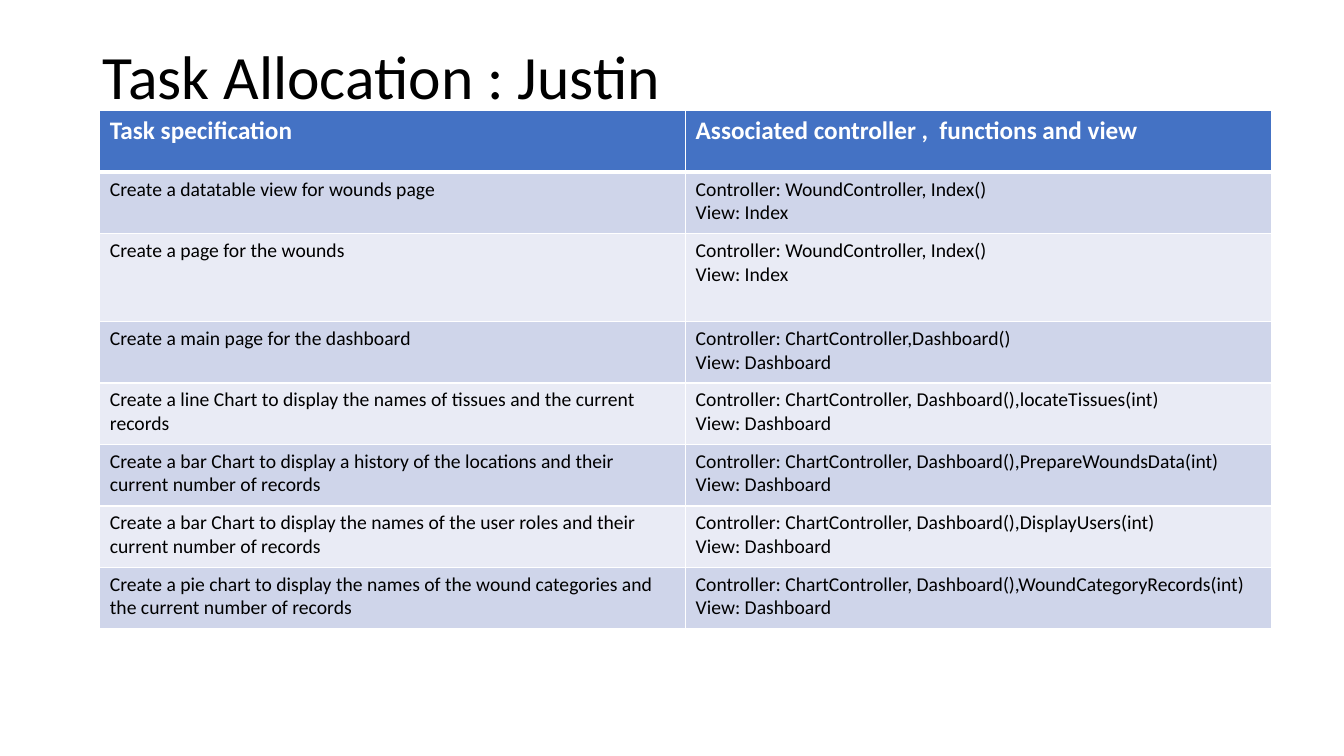
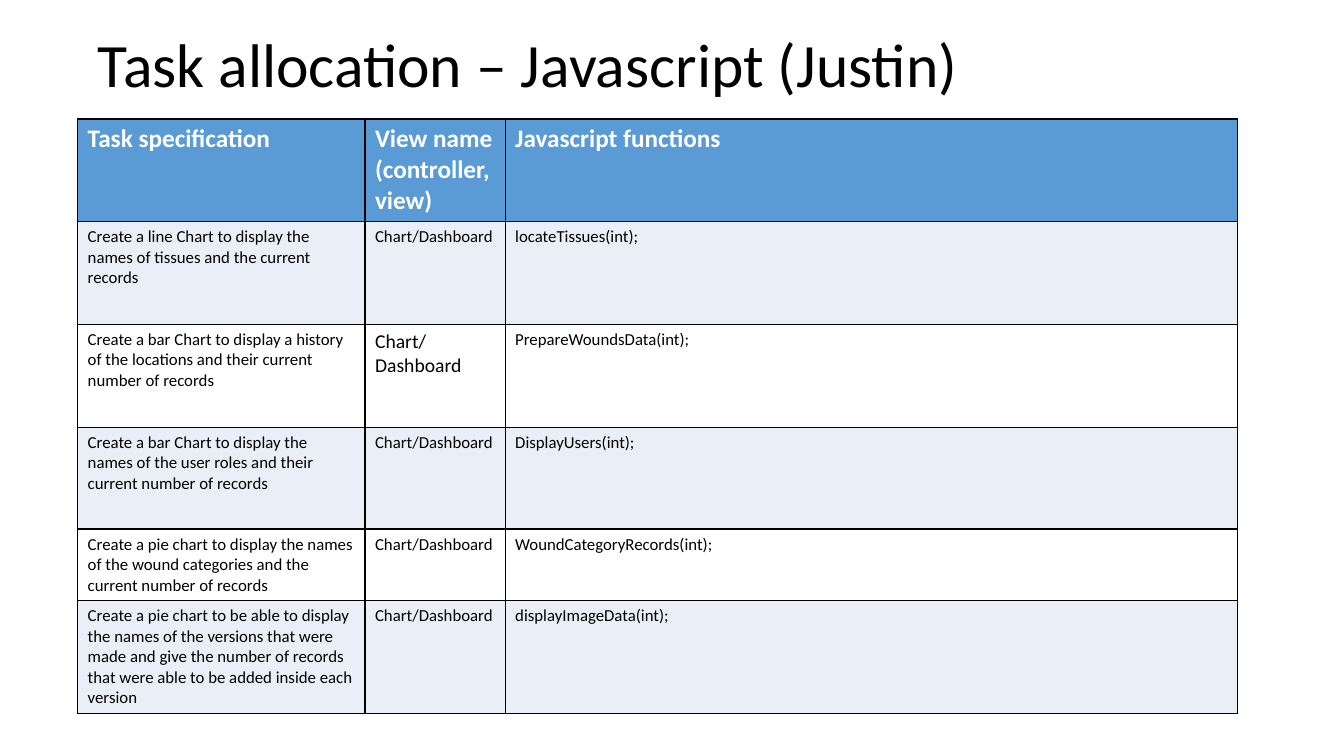
"""Build two task allocation slides, each with a title and a table."""
import dataclasses
import typing

import lxml.etree
import pptx
import pptx.dml.color
import pptx.enum.text
import pptx.oxml.ns
import pptx.slide
import pptx.table
import pptx.text.text
import pptx.util

Inches = pptx.util.Inches


@dataclasses.dataclass(frozen=True)
class Theme:
    font: str = "Calibri"
    black: str = "000000"
    white: str = "FFFFFF"
    title_size: float = 44
    header_size: float = 18
    large_size: float = 14
    small_size: float = 12
    border_width: float = 1
    title_width: float = 11.5
    title_height: float = 1.45


THEME = Theme()


@dataclasses.dataclass(frozen=True)
class TableStyle:
    header_fill: str
    band_fills: tuple[str, str]
    border_color: str
    header_rule: float
    body_size: float


@dataclasses.dataclass(frozen=True)
class TaskSlide:
    title: str
    title_at: tuple[float, float]
    table_at: tuple[float, float]
    column_widths: tuple[float, ...]
    row_heights: tuple[float, ...]
    style: TableStyle
    rows: tuple[tuple[str, ...], ...]
    size_overrides: dict[tuple[int, int], float] = dataclasses.field(default_factory=dict)


WHITE_RULED = TableStyle("4472C4", ("CFD5EA", "E9EBF5"), THEME.white, 3, THEME.large_size)
BLACK_RULED = TableStyle("5B9BD5", ("EAEFF7", THEME.white), THEME.black, 1, THEME.small_size)
DASHBOARD = "Chart/Dashboard"

TASK_SLIDES = (
    TaskSlide(
        title="Task Allocation : Justin",
        title_at=(0.92, 0.06),
        table_at=(0.99, 1.1),
        column_widths=(5.81, 5.81),
        row_heights=(0.61, 0.61, 0.87, 0.61, 0.61, 0.61, 0.61, 0.61),
        style=WHITE_RULED,
        rows=(
            ("Task specification", "Associated controller ,  functions and view"),
            ("Create a datatable view for wounds page",
             "Controller: WoundController, Index()\nView: Index"),
            ("Create a page for the wounds",
             "Controller: WoundController, Index()\nView: Index"),
            ("Create a main page for the dashboard",
             "Controller: ChartController,Dashboard()\nView: Dashboard"),
            ("Create a line Chart to display the names of tissues and the current records",
             "Controller: ChartController, Dashboard(),locateTissues(int)\nView: Dashboard"),
            ("Create a bar Chart to display a history of the locations and their current number of records",
             "Controller: ChartController, Dashboard(),PrepareWoundsData(int)\nView: Dashboard"),
            ("Create a bar Chart to display the names of the user roles and their current number of records",
             "Controller: ChartController, Dashboard(),DisplayUsers(int)\nView: Dashboard"),
            ("Create a pie chart to display the names of the wound categories and the current number of records",
             "Controller: ChartController, Dashboard(),WoundCategoryRecords(int)\nView: Dashboard"),
        ),
    ),
    TaskSlide(
        title="Task allocation – Javascript (Justin)",
        title_at=(0.87, -0.05),
        table_at=(0.77, 1.18),
        column_widths=(2.85, 1.39, 7.26),
        row_heights=(1.02, 1.02, 1.02, 1.01, 0.71, 1.12),
        style=BLACK_RULED,
        rows=(
            ("Task specification", "View name\n(controller,\nview)", "Javascript functions"),
            ("Create a line Chart to display the names of tissues and the current records",
             DASHBOARD, "locateTissues(int);"),
            ("Create a bar Chart to display a history of the locations and their current number of records",
             DASHBOARD, "PrepareWoundsData(int);"),
            ("Create a bar Chart to display the names of the user roles and their current number of records",
             DASHBOARD, "DisplayUsers(int);"),
            ("Create a pie chart to display the names of the wound categories and the current number of records",
             DASHBOARD, "WoundCategoryRecords(int);"),
            ("Create a pie chart to be able to display the names of the versions that were made "
             "and give the number of records that were able to be added inside each version",
             DASHBOARD, "displayImageData(int);"),
        ),
        size_overrides={(2, 1): THEME.large_size},
    ),
)


def set_attributes(target: typing.Any, values: dict[str, typing.Any]) -> None:
    """Set every named attribute on the target."""
    for name, value in values.items():
        setattr(target, name, value)


def write_text(frame: pptx.text.text.TextFrame, text: str, size: float, color: str,
               bold: bool = False, line_spacing: float | None = None) -> None:
    """Fill a text frame with left-aligned paragraphs in one format."""
    frame.text = text
    for paragraph in frame.paragraphs:
        set_attributes(paragraph, {"alignment": pptx.enum.text.PP_ALIGN.LEFT,
                                   "line_spacing": line_spacing})
        for run in paragraph.runs:
            set_attributes(run.font, {"name": THEME.font, "size": pptx.util.Pt(size), "bold": bold})
            run.font.color.rgb = pptx.dml.color.RGBColor.from_string(color)


def add_title(slide: pptx.slide.Slide, task_slide: TaskSlide) -> None:
    """Place and format the title placeholder."""
    title = slide.shapes.title
    left, top = task_slide.title_at
    set_attributes(title, {"left": Inches(left), "top": Inches(top),
                           "width": Inches(THEME.title_width),
                           "height": Inches(THEME.title_height)})
    set_attributes(title.text_frame, {"word_wrap": True,
                                      "auto_size": pptx.enum.text.MSO_AUTO_SIZE.NONE,
                                      "vertical_anchor": pptx.enum.text.MSO_ANCHOR.MIDDLE})
    write_text(title.text_frame, task_slide.title, THEME.title_size, THEME.black, line_spacing=0.9)


def add_borders(cell: pptx.table._Cell, color: str, widths: dict[str, float]) -> None:
    """Draw a solid border on each named side of a cell."""
    properties = cell._tc.get_or_add_tcPr()
    qualified = pptx.oxml.ns.qn
    for side, width in widths.items():
        line = lxml.etree.SubElement(properties, qualified(f"a:ln{side}"),
                                     w=str(int(pptx.util.Pt(width))))
        fill = lxml.etree.SubElement(line, qualified("a:solidFill"))
        lxml.etree.SubElement(fill, qualified("a:srgbClr"), val=color)


def format_cell(cell: pptx.table._Cell, text: str, row: int, size: float, style: TableStyle) -> None:
    """Write one cell with its borders, fill and text."""
    is_header = row == 0
    widths = dict.fromkeys("LRTB", THEME.border_width)
    if row < 2:
        widths["B" if is_header else "T"] = style.header_rule
    add_borders(cell, style.border_color, widths)
    fill = style.header_fill if is_header else style.band_fills[(row - 1) % 2]
    cell.fill.solid()
    cell.fill.fore_color.rgb = pptx.dml.color.RGBColor.from_string(fill)
    write_text(cell.text_frame, text, THEME.header_size if is_header else size,
               THEME.white if is_header else THEME.black, bold=is_header)


def add_task_table(slide: pptx.slide.Slide, task_slide: TaskSlide) -> None:
    """Add the task table with its column and row sizes."""
    widths, heights = task_slide.column_widths, task_slide.row_heights
    left, top = task_slide.table_at
    table = slide.shapes.add_table(len(heights), len(widths), Inches(left), Inches(top),
                                   Inches(sum(widths)), Inches(sum(heights))).table
    for column, width in zip(table.columns, widths):
        column.width = Inches(width)
    for table_row, height in zip(table.rows, heights):
        table_row.height = Inches(height)
    for row, texts in enumerate(task_slide.rows):
        for column, text in enumerate(texts):
            size = task_slide.size_overrides.get((row, column), task_slide.style.body_size)
            format_cell(table.cell(row, column), text, row, size, task_slide.style)


def main() -> None:
    """Build and save the presentation."""
    presentation = pptx.Presentation()
    set_attributes(presentation, {"slide_width": Inches(13.33), "slide_height": Inches(7.5)})
    title_only = presentation.slide_layouts.get_by_name("Title Only")
    for task_slide in TASK_SLIDES:
        slide = presentation.slides.add_slide(title_only)
        add_title(slide, task_slide)
        add_task_table(slide, task_slide)
    presentation.save("out.pptx")


if __name__ == "__main__":
    main()
